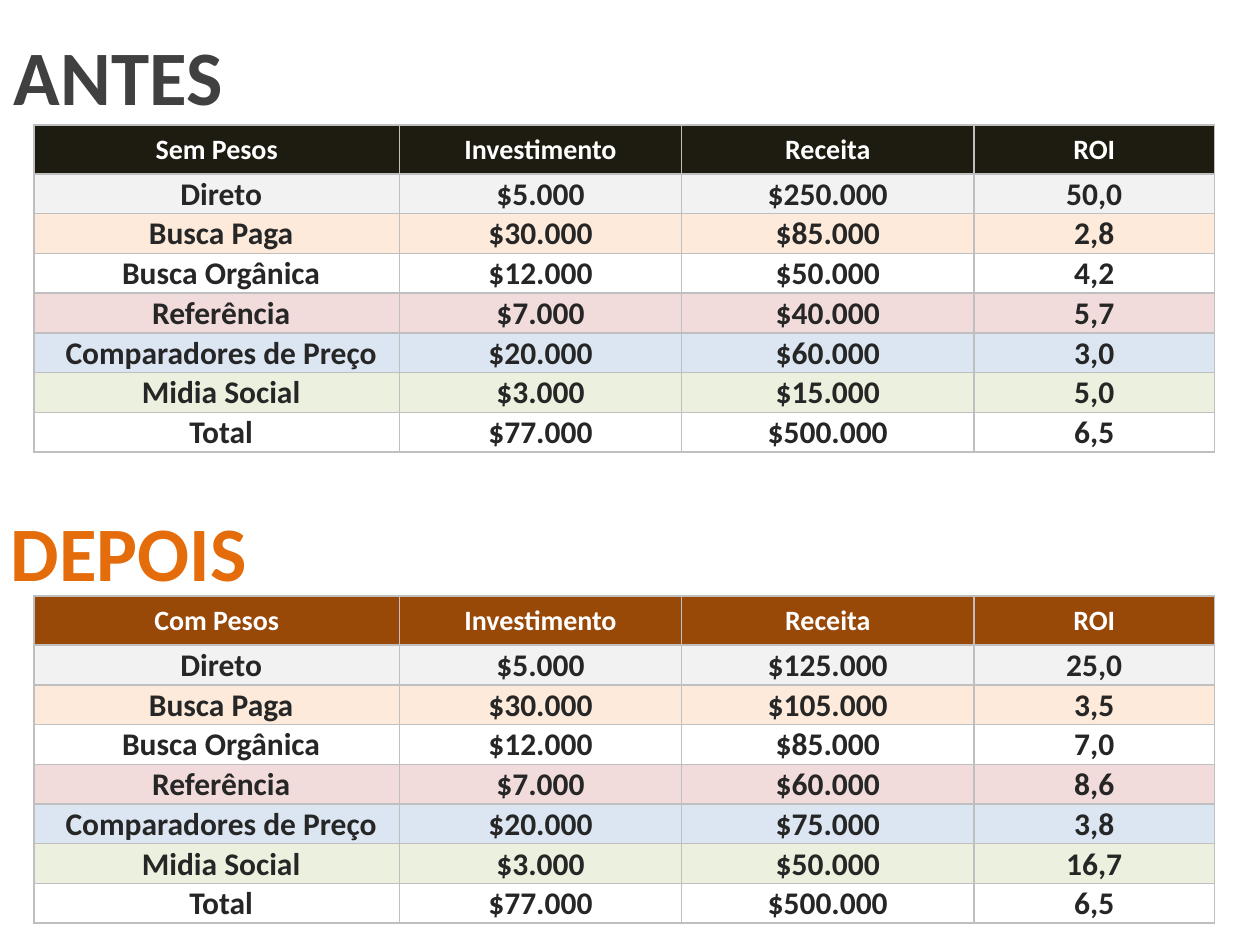
from lxml.etree import SubElement
from pptx import Presentation
from pptx.dml.color import RGBColor
from pptx.enum.text import MSO_ANCHOR as Anchor, PP_ALIGN as Align
from pptx.oxml.ns import qn
from pptx.util import Inches, Pt

COLUMN_WIDTHS = [2.9, 2.24, 2.32, 1.91]
HEADER_HEIGHT = 0.39
ROW_HEIGHT = 0.31
TABLE_LEFT = 0.27
HEADINGS = ["Investimento", "Receita", "ROI"]
CHANNELS = [
    ("Direto", "$5.000", "F2F2F2"),
    ("Busca Paga", "$30.000", "FDEADA"),
    ("Busca Orgânica", "$12.000", None),
    ("Referência", "$7.000", "F2DCDB"),
    ("Comparadores de Preço", "$20.000", "DCE6F2"),
    ("Midia Social", "$3.000", "EBF1DE"),
    ("Total", "$77.000", None),
]
RESULTS_BEFORE = [
    ("$250.000", "50,0"), ("$85.000", "2,8"), ("$50.000", "4,2"),
    ("$40.000", "5,7"), ("$60.000", "3,0"), ("$15.000", "5,0"),
    ("$500.000", "6,5"),
]
RESULTS_AFTER = [
    ("$125.000", "25,0"), ("$105.000", "3,5"), ("$85.000", "7,0"),
    ("$60.000", "8,6"), ("$75.000", "3,8"), ("$50.000", "16,7"),
    ("$500.000", "6,5"),
]


def color(value):
    return RGBColor.from_string(value)


def write_text(text_frame, text, size, font_color):
    paragraph = text_frame.paragraphs[0]
    paragraph.alignment = Align.CENTER
    run = paragraph.add_run()
    run.text = text
    run.font.name = "Calibri"
    run.font.size = Pt(size)
    run.font.bold = True
    run.font.color.rgb = color(font_color)


def add_title(slide, text, left, top, width, font_color):
    shape = slide.shapes.add_textbox(Inches(left), Inches(top), Inches(width), Inches(0.63))
    text_frame = shape.text_frame
    text_frame.word_wrap = True
    text_frame.vertical_anchor = Anchor.MIDDLE
    text_frame.margin_left = text_frame.margin_right = Inches(0.05)
    text_frame.margin_top = text_frame.margin_bottom = Inches(0.05)
    write_text(text_frame, text, size=44, font_color=font_color)


def set_borders(cell, line_color, width):
    properties = cell._tc.get_or_add_tcPr()
    for side in ("lnL", "lnR", "lnT", "lnB"):
        line = SubElement(properties, qn(f"a:{side}"), w=str(Pt(width)))
        fill = SubElement(line, qn("a:solidFill"))
        SubElement(fill, qn("a:srgbClr"), val=line_color)


def format_cell(cell, text, fill, left_margin=0.01, size=18, font_color="262626"):
    cell.vertical_anchor = Anchor.MIDDLE
    cell.margin_left = Inches(left_margin)
    cell.margin_right = cell.margin_top = Inches(0.01)
    cell.margin_bottom = 0
    set_borders(cell, "BFBFBF", 1)
    if fill:
        cell.fill.solid()
        cell.fill.fore_color.rgb = color(fill)
    else:
        cell.fill.background()
    write_text(cell.text_frame, text, size=size, font_color=font_color)


def add_roi_table(slide, top, title, header_fill, results):
    height = HEADER_HEIGHT + ROW_HEIGHT * len(CHANNELS)
    table = slide.shapes.add_table(
        len(CHANNELS) + 1, len(COLUMN_WIDTHS), Inches(TABLE_LEFT), Inches(top),
        Inches(sum(COLUMN_WIDTHS)), Inches(height)).table
    table.first_row = table.horz_banding = False
    for column, width in zip(table.columns, COLUMN_WIDTHS):
        column.width = Inches(width)
    for index, row in enumerate(table.rows):
        row.height = Inches(ROW_HEIGHT if index else HEADER_HEIGHT)

    for index, heading in enumerate([title, *HEADINGS]):
        format_cell(table.cell(0, index), heading, header_fill, size=16, font_color="FFFFFF")
    for row, ((channel, investment, fill), result) in enumerate(zip(CHANNELS, results), 1):
        for index, text in enumerate([channel, investment, *result]):
            left_margin = 0.01 if index else 0.08
            format_cell(table.cell(row, index), text, fill, left_margin=left_margin)


def main():
    presentation = Presentation()
    presentation.slide_width = Inches(10)
    presentation.slide_height = Inches(7.5)
    slide = presentation.slides.add_slide(presentation.slide_layouts[6])
    add_roi_table(slide, 0.99, "Sem Pesos", "1E1C11", RESULTS_BEFORE)
    add_roi_table(slide, 4.73, "Com Pesos", "984807", RESULTS_AFTER)
    add_title(slide, "ANTES", -0.12, 0.28, 2.12, "404040")
    add_title(slide, "DEPOIS", -0.04, 4.06, 2.13, "E46C0A")
    presentation.save("out.pptx")


if __name__ == "__main__":
    main()
